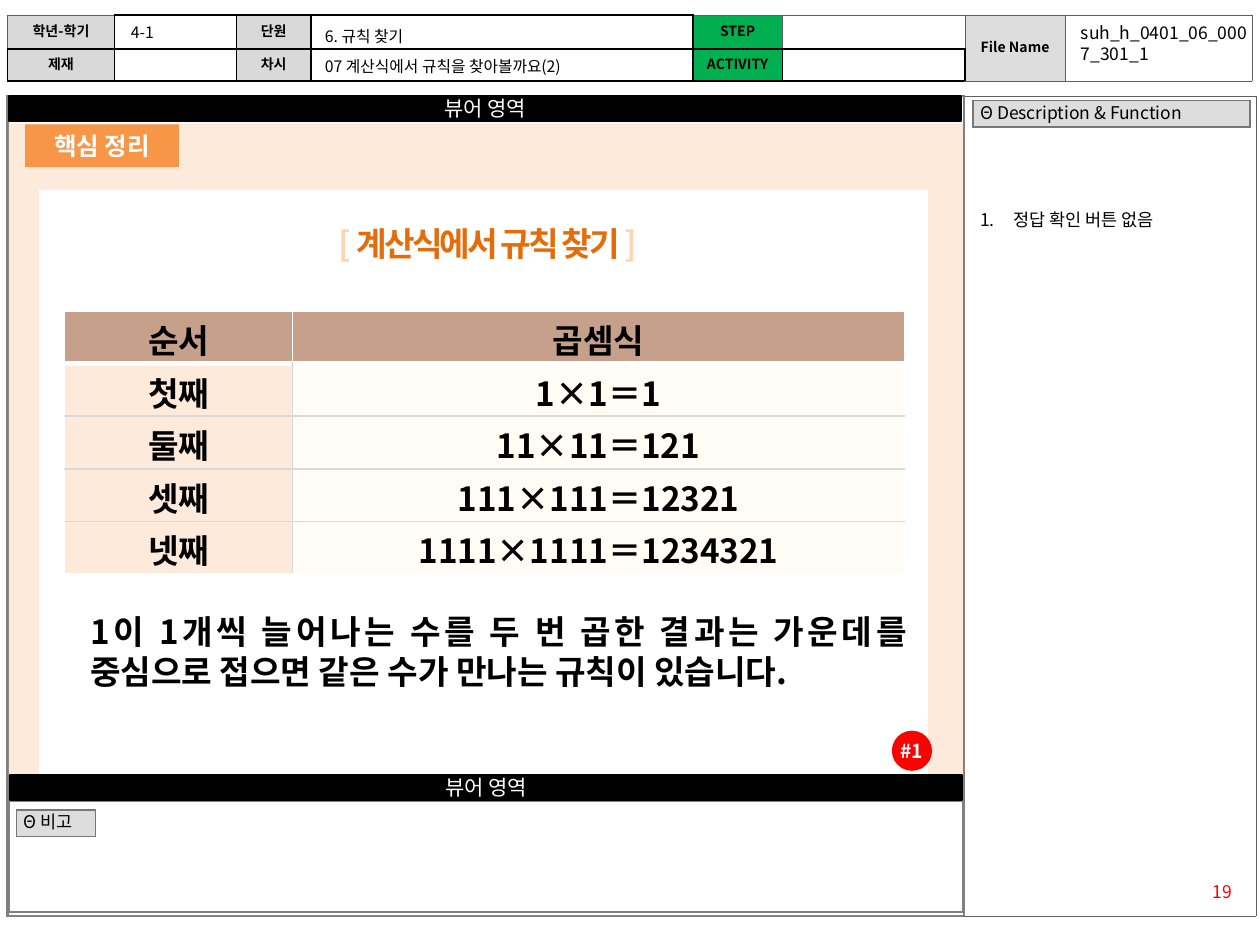
import pptx
import pptx.dml.color
import pptx.enum.shapes
import pptx.enum.text
import pptx.oxml.ns
import pptx.util
from lxml import etree

Cm, Pt = pptx.util.Cm, pptx.util.Pt
RGB = pptx.dml.color.RGBColor
SHAPE = pptx.enum.shapes.MSO_SHAPE
ALIGN = pptx.enum.text.PP_ALIGN
ANCHOR = pptx.enum.text.MSO_ANCHOR
qn = pptx.oxml.ns.qn

BLACK, WHITE, RED = RGB(0, 0, 0), RGB(255, 255, 255), RGB(255, 0, 0)
GREEN = RGB(0x00, 0xB0, 0x50)
ORANGE = RGB(0xF7, 0x96, 0x46)
DARK_ORANGE = RGB(0xE4, 0x6C, 0x0A)
PALE_ORANGE = RGB(0xFC, 0xD5, 0xB5)
PEACH = RGB(0xFD, 0xEA, 0xDA)
CREAM = RGB(0xFF, 0xFB, 0xF5)
BROWN = RGB(0xC7, 0xA0, 0x8C)
LABEL = RGB(0xD9, 0xD9, 0xD9)
SILVER = RGB(0xDD, 0xDD, 0xDD)
DARK_GREY = RGB(0x5F, 0x5F, 0x5F)
MID_GREY = RGB(0x77, 0x77, 0x77)
FRAME_GREY = RGB(0x80, 0x80, 0x80)

THIN = (DARK_GREY, 0.25)


class Storyboard:
    font = "Noto Sans CJK KR"
    leading = 1.2

    def __init__(self, slide):
        self.s = slide

    def fill_text(self, tf, runs, size, align=ALIGN.LEFT, bold=False, spacing=None):
        """Fill the first paragraph with (text, colour) runs."""
        p = tf.paragraphs[0]
        p.alignment = align
        p.line_spacing = Pt(size * self.leading)
        p.space_before = Pt(0)
        for text, color in runs:
            r = p.add_run()
            r.text = text
            style = {"name": self.font, "size": Pt(size), "bold": bold}
            for key, value in style.items():
                setattr(r.font, key, value)
            r.font.color.rgb = color
            rpr = r._r.get_or_add_rPr()
            etree.SubElement(rpr, qn("a:ea"), typeface=self.font)
            if spacing is not None:
                rpr.set("spc", str(int(spacing * 100)))
        return p

    def text(self, box, text, size, color=BLACK, **style):
        sp = self.s.shapes.add_textbox(*map(Cm, box))
        sp.text_frame.word_wrap = True
        return self.fill_text(sp.text_frame, [(text, color)], size, **style)

    def numbered(self, box, text, size):
        p = self.text(box, text, size)
        ppr = p._p.get_or_add_pPr()
        ppr.set("marL", str(Cm(0.67)))
        ppr.set("indent", str(-Cm(0.67)))
        etree.SubElement(ppr, qn("a:buFont"), typeface="+mj-lt")
        etree.SubElement(ppr, qn("a:buAutoNum"), type="arabicPeriod")

    def title(self, box, runs, size, **style):
        sp = self.s.shapes.title
        sp.left, sp.top, sp.width, sp.height = map(Cm, box)
        tree = sp.element.getparent()
        tree.append(sp.element)  # bring in front of the panels
        tf = sp.text_frame
        tf.word_wrap, tf.vertical_anchor = True, ANCHOR.TOP
        tf.auto_size = pptx.enum.text.MSO_AUTO_SIZE.NONE
        self.fill_text(tf, runs, size, align=ALIGN.CENTER, **style)

    def shape(self, box, fill, text="", size=12, kind=SHAPE.RECTANGLE,
              line=None, margin=0.1, bold=False):
        sp = self.s.shapes.add_shape(kind, *map(Cm, box))
        sp.shadow.inherit = False
        sp.fill.solid()
        sp.fill.fore_color.rgb = fill
        if line is None:
            sp.line.fill.background()
        else:
            sp.line.color.rgb, sp.line.width = line, Pt(1)
        if text:
            tf = sp.text_frame
            tf.vertical_anchor = ANCHOR.MIDDLE
            for side in ("left", "right", "top", "bottom"):
                setattr(tf, "margin_" + side, Cm(margin))
            self.fill_text(tf, [(text, WHITE)], size, ALIGN.CENTER, bold)

    def table(self, left, top, cols, rows):
        tbl = self.s.shapes.add_table(
            len(rows), len(cols), Cm(left), Cm(top),
            Cm(sum(cols)), Cm(sum(rows))).table
        tbl.first_row = tbl.horz_banding = False
        for parts, sizes, key in ((tbl.columns, cols, "width"),
                                  (tbl.rows, rows, "height")):
            for part, length in zip(parts, sizes):
                setattr(part, key, Cm(length))
        return tbl

    def cell(self, cell, borders, fill=None, text="", size=8, margins=(0.13, 0.13),
             side=0.25, anchor=ANCHOR.MIDDLE, **style):
        """Borders are (colour, points): one for all sides or four as L, R, T, B."""
        if isinstance(borders, tuple):
            borders = [borders] * 4
        tcpr = cell._tc.get_or_add_tcPr()
        for edge, (color, width) in zip("LRTB", borders):
            ln = etree.SubElement(tcpr, qn("a:ln" + edge), w=str(Pt(width)))
            solid = etree.SubElement(ln, qn("a:solidFill"))
            etree.SubElement(solid, qn("a:srgbClr"), val=str(color))
        if fill is None:
            cell.fill.background()
        else:
            cell.fill.solid()
            cell.fill.fore_color.rgb = fill
        cell.vertical_anchor = anchor
        cell.margin_left = cell.margin_right = Cm(side)
        cell.margin_top, cell.margin_bottom = map(Cm, margins)
        if text:
            self.fill_text(cell.text_frame, [(text, BLACK)], size, **style)
        else:
            etree.SubElement(cell.text_frame.paragraphs[0]._p,
                             qn("a:endParaRPr"), sz=str(size * 100))

    def tag(self, box, text):
        left, top, width, height = box
        tbl = self.table(left, top, [width], [height])
        self.cell(tbl.cell(0, 0), (MID_GREY, 1), SILVER, text, 10,
                  margins=(0.05, 0.05), side=0.15)


def draw_frame(board):
    tbl = board.table(0.15, 1.93, [19.28, 5.89], [16.54])
    board.cell(tbl.cell(0, 0), (FRAME_GREY, 1.5))
    board.cell(tbl.cell(0, 1), [(FRAME_GREY, 1.5), THIN, THIN, THIN])

    labels = {(0, 0): ("학년-학기", LABEL), (0, 2): ("단원", LABEL),
              (0, 4): ("STEP", GREEN), (0, 6): ("File Name", SILVER),
              (1, 0): ("제재", LABEL), (1, 2): ("차시", LABEL),
              (1, 4): ("ACTIVITY", GREEN)}
    cols = [2.16, 2.46, 1.5, 7.7, 1.8, 3.68, 2.03, 3.76]
    tbl = board.table(0.15, 0.3, cols, [0.69, 0.64])
    for col in (6, 7):
        tbl.cell(0, col).merge(tbl.cell(1, col))
    for row in range(2):
        for col in range(len(cols)):
            thin = col >= 6 or (row == 0 and col in (0, 4, 5))
            text, fill = labels.get((row, col), ("", None))
            board.cell(tbl.cell(row, col), THIN if thin else (BLACK, 1),
                       fill, text, align=ALIGN.CENTER, bold=True)

    tbl = board.table(0.18, 16.15, [19.23], [2.24])
    board.cell(tbl.cell(0, 0), (FRAME_GREY, 1.5))
    board.tag((0.33, 16.33, 1.6, 0.53), "Θ 비고")
    board.tag((19.61, 2.03, 5.59, 0.53), "Θ Description & Function")
    board.text((23.39, 17.63, 1.7, 0.69), "19", 10, RED, align=ALIGN.RIGHT)

    board.shape((0.18, 2.49, 19.23, 13.13), PEACH)
    board.shape((0.81, 3.84, 17.88, 11.76), WHITE, line=WHITE)
    for left, top in ((0.18, 1.93), (0.2, 15.62)):
        board.shape((left, top, 19.2, 0.51), BLACK, "뷰어 영역", line=BLACK, margin=0)


def draw_products(board):
    rows = [("순서", "곱셈식"), ("첫째", "1×1＝1"), ("둘째", "11×11＝121"),
            ("셋째", "111×111＝12321"), ("넷째", "1111×1111＝1234321")]
    tbl = board.table(1.3, 6.27, [4.6, 12.33], [1.06] * len(rows))
    white, rule, thick = (WHITE, 1), (LABEL, 1), (WHITE, 3)
    for i, row in enumerate(rows):
        top = thick if i == 1 else rule if i else white
        bottom = rule if i else thick
        if i == len(rows) - 1:
            bottom = white
        inner = rule if i else white
        for j, text in enumerate(row):
            left, right = (inner, white) if j else (white, inner)
            fill = (PEACH, CREAM)[j] if i else BROWN
            board.cell(tbl.cell(i, j), [left, right, top, bottom], fill, text, 19,
                       margins=(0.25, 0), anchor=ANCHOR.TOP,
                       align=ALIGN.CENTER, bold=True)


def main():
    prs = pptx.Presentation()
    prs.slide_width, prs.slide_height = Cm(25.4), Cm(19.05)
    board = Storyboard(prs.slides.add_slide(prs.slide_layouts[5]))

    draw_frame(board)
    board.numbered((19.51, 4.09, 5.89, 0.8), "정답 확인 버튼 없음", 10)
    board.shape((0.51, 2.51, 3.1, 0.86), ORANGE, "핵심 정리", 14, bold=True)
    board.title((1.19, 4.38, 17.3, 1.07),
                [("[ ", PALE_ORANGE), ("계산식에서 규칙 찾기 ", DARK_ORANGE),
                 ("]", PALE_ORANGE)], 19, bold=True, spacing=-1.5)
    board.shape((17.98, 14.73, 0.81, 0.81), RED, "#1", 11,
                kind=SHAPE.OVAL, margin=0, bold=True)

    board.text((21.54, 0.33, 3.86, 1.12), "suh_h_0401_06_0007_301_1", 10,
               align=ALIGN.JUSTIFY)
    for left, top, width, text in (
            (2.39, 0.33, 2.39, "4-1"),
            (6.3, 0.41, 7.7, "6. 규칙 찾기"),
            (6.3, 1.02, 7.59, "07 계산식에서 규칙을 찾아볼까요(2)")):
        board.text((left, top, width, 0.6), text, 9)

    draw_products(board)
    board.text((1.57, 12.2, 16.97, 1.88),
               "1이 1개씩 늘어나는 수를 두 번 곱한 결과는 가운데를 "
               "중심으로 접으면 같은 수가 만나는 규칙이 있습니다.",
               19, align=ALIGN.JUSTIFY, bold=True)
    prs.save("out.pptx")


if __name__ == "__main__":
    main()
